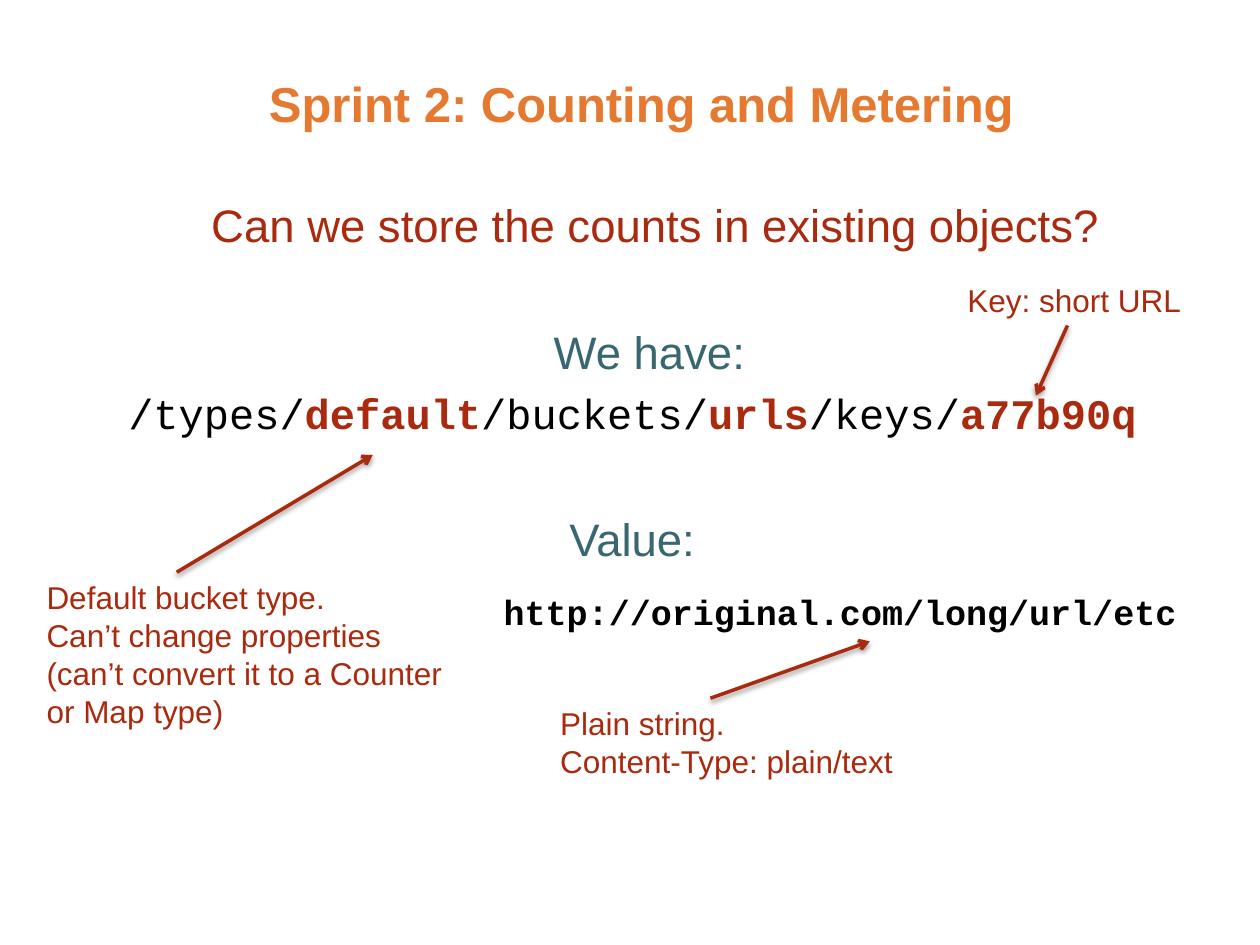
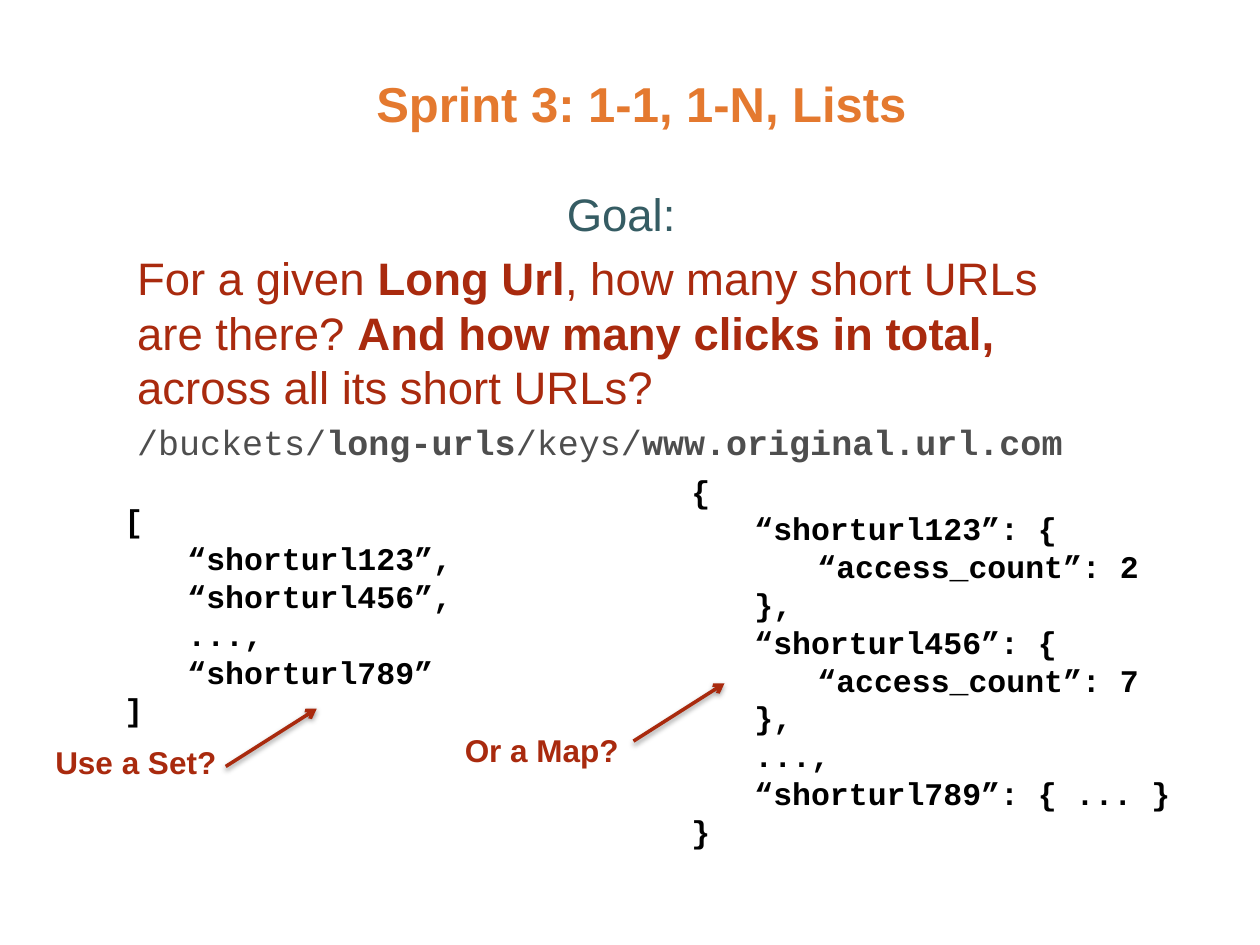
from lxml import etree
from pptx import Presentation
from pptx.dml.color import RGBColor
from pptx.enum.shapes import MSO_CONNECTOR
from pptx.enum.text import MSO_ANCHOR, PP_ALIGN
from pptx.oxml import parse_xml
from pptx.oxml.ns import nsdecls, qn
from pptx.util import Pt

ORANGE = RGBColor(0xE4, 0x79, 0x2F)
RED = RGBColor(0xA9, 0x2A, 0x0E)
TEAL = RGBColor(0x39, 0x67, 0x71)
DARK_TEAL = RGBColor(0x35, 0x5C, 0x63)
GRAY = RGBColor(0x4E, 0x4E, 0x4E)
BLACK = RGBColor(0, 0, 0)
SANS = "Arial"
MONO = "Courier New"
LINE_PITCH = 1.2
TAB = 36
TITLE_BOX = (42.5, 36, 648, 46)

SHADOW = (
    f'<a:effectLst {nsdecls("a")}>'
    '<a:outerShdw blurRad="39370" dist="20320" dir="5400000" rotWithShape="0">'
    '<a:srgbClr val="000000"><a:alpha val="38000"/></a:srgbClr>'
    '</a:outerShdw></a:effectLst>'
)


def place(shape, box):
    shape.left, shape.top, shape.width, shape.height = map(Pt, box)


def add_run(paragraph, text, size=18, font=SANS, color=RED, bold=False):
    run = paragraph.add_run()
    run.text = text
    run.font.size = Pt(size)
    run.font.name = font
    run.font.bold = bold
    run.font.color.rgb = color


def write(paragraph, *parts, size=18, font=SANS, color=RED, bold=False,
          align=PP_ALIGN.LEFT, before=0, indent=0):
    paragraph.alignment = align
    paragraph.line_spacing = Pt(size * LINE_PITCH)
    paragraph.space_before = Pt(before)
    if indent:
        paragraph._p.get_or_add_pPr().set("marL", str(Pt(indent)))
    for part in parts:
        text, changes = part if isinstance(part, tuple) else (part, {})
        style = {"size": size, "font": font, "color": color, "bold": bold}
        add_run(paragraph, text, **(style | changes))


def add_text_frame(slide, box):
    frame = slide.shapes.add_textbox(*map(Pt, box)).text_frame
    frame.word_wrap = True
    return frame


def add_lines(slide, box, lines, **style):
    frame = add_text_frame(slide, box)
    for index, line in enumerate(lines):
        paragraph = frame.add_paragraph() if index else frame.paragraphs[0]
        depth, text = line if isinstance(line, tuple) else (0, line)
        write(paragraph, text, indent=depth * TAB, **style)


def add_arrow(slide, start, end):
    arrow = slide.shapes.add_connector(MSO_CONNECTOR.STRAIGHT, *map(Pt, start + end))
    arrow.line.color.rgb = RED
    arrow.line.width = Pt(2)
    etree.SubElement(arrow.line._get_or_add_ln(), qn("a:tailEnd"), type="arrow")
    arrow._element.spPr.append(parse_xml(SHADOW))


def add_titled_slide(presentation, title):
    slide = presentation.slides.add_slide(presentation.slide_layouts[5])
    placeholder = slide.shapes.title
    place(placeholder, TITLE_BOX)
    frame = placeholder.text_frame
    frame.vertical_anchor = MSO_ANCHOR.MIDDLE
    paragraph = frame.paragraphs[0]
    paragraph.alignment = PP_ALIGN.CENTER
    add_run(paragraph, title, size=28, color=ORANGE, bold=True)
    return slide


def add_storage_question(slide, box):
    frame = add_text_frame(slide, box)
    key_part = {"color": RED, "bold": True}
    write(frame.paragraphs[0], "Can we store the counts in existing objects?",
          size=26, align=PP_ALIGN.CENTER)
    write(frame.add_paragraph(), "We have: ", size=26, color=TEAL,
          align=PP_ALIGN.CENTER, before=41.6)
    write(frame.add_paragraph(), "/types/", ("default", key_part), "/buckets/",
          ("urls", key_part), "/keys/", ("a77b90q", key_part),
          size=24, font=MONO, color=BLACK, before=4.8)
    write(frame.add_paragraph(), "Value:", size=26, color=TEAL,
          before=41.6, indent=7 * TAB)


def add_goal(slide, box):
    frame = add_text_frame(slide, box)
    strong = {"bold": True}
    write(frame.paragraphs[0], "Goal:", size=26, color=DARK_TEAL, align=PP_ALIGN.CENTER)
    write(frame.add_paragraph(), "For a given ", ("Long Url", strong),
          ", how many short URLs are there? ",
          ("And how many clicks in total, ", strong),
          "across all its short URLs?", size=26, before=5.2)
    write(frame.add_paragraph(), "/buckets/", ("long-urls", strong), "/keys/",
          ("www.original.url.com", strong), size=20, font=MONO, color=GRAY, before=4)


def build_counting_slide(presentation):
    slide = add_titled_slide(presentation, "Sprint 2: Counting and Metering")
    add_storage_question(slide, (66.25, 109, 617, 361))
    add_lines(slide, (19.5, 327, 250, 94),
              ["Default bucket type.", "Can’t change properties",
               "(can’t convert it to a Counter", "or Map type)"])
    add_lines(slide, (545.75, 157, 145, 29), ["Key: short URL"])
    add_lines(slide, (280.75, 334, 412, 32), ["http://original.com/long/url/etc"],
              size=20, font=MONO, color=BLACK, bold=True)
    add_lines(slide, (313, 399, 215, 51), ["Plain string.", "Content-Type: plain/text"])
    add_arrow(slide, (101, 327), (213, 260))
    add_arrow(slide, (610, 186), (592, 226))
    add_arrow(slide, (406, 399), (497, 366.5))


def build_lists_slide(presentation):
    slide = add_titled_slide(presentation, "Sprint 3: 1-1, 1-N, Lists")
    add_goal(slide, (71.25, 103, 567.5, 180))
    code = {"font": MONO, "color": BLACK, "bold": True}
    add_lines(slide, (64, 283, 222, 138),
              ["[", (1, "“shorturl123”,"), (1, "“shorturl456”,"), (1, "...,"),
               (1, "“shorturl789”"), "]"], **code)
    add_lines(slide, (388, 266, 302.5, 225),
              ["{", (1, "“shorturl123”: {"), (2, "“access_count”: 2"), (1, "},"),
               (1, "“shorturl456”: {"), (2, "“access_count”: 7"), (1, "},"),
               (1, "...,"), (1, "“shorturl789”: { ... }"), "}"], **code)
    add_lines(slide, (24.5, 421, 115, 29), ["Use a Set?"], bold=True)
    add_lines(slide, (258.5, 414, 112, 29), ["Or a Map?"], bold=True)
    add_arrow(slide, (129, 438), (181, 405))
    add_arrow(slide, (362, 423.5), (414, 390.5))


def main():
    presentation = Presentation()
    presentation.slide_width = Pt(720)
    presentation.slide_height = Pt(540)
    build_counting_slide(presentation)
    build_lists_slide(presentation)
    presentation.save("out.pptx")


if __name__ == "__main__":
    main()
